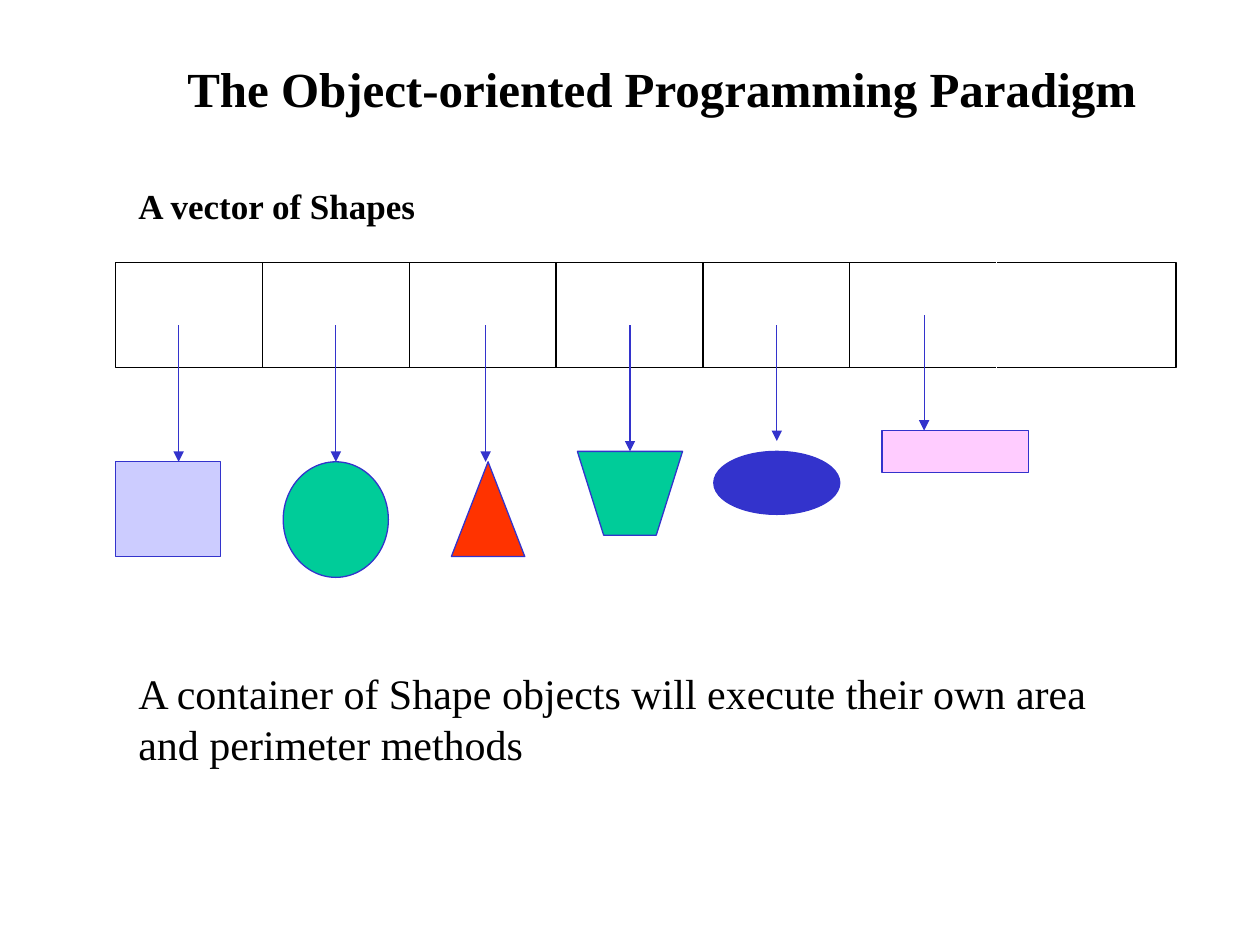
from lxml import etree
from pptx import Presentation
from pptx.dml.color import RGBColor
from pptx.enum import shapes, text
from pptx.oxml import ns
from pptx.util import Cm, Pt

BLACK = RGBColor(0x00, 0x00, 0x00)
WHITE = RGBColor(0xFF, 0xFF, 0xFF)
BLUE = RGBColor(0x33, 0x33, 0xCC)
LILAC = RGBColor(0xCC, 0xCC, 0xFF)
GREEN = RGBColor(0x00, 0xCC, 0x99)
RED = RGBColor(0xFF, 0x33, 0x00)
PINK = RGBColor(0xFF, 0xCC, 0xFF)
KIND = shapes.MSO_SHAPE


class Page:
    font = "Times New Roman"
    width = Pt(0.75)

    def __init__(self, slide):
        self.slide = slide

    def fill_text(self, shape, words, size, bold=False, align=text.PP_ALIGN.LEFT):
        frame = shape.text_frame
        frame.text = words
        frame.word_wrap = True
        frame.auto_size = text.MSO_AUTO_SIZE.NONE
        frame.vertical_anchor = text.MSO_ANCHOR.TOP
        para = frame.paragraphs[0]
        para.alignment = align
        font = para.runs[0].font
        font.name, font.size, font.bold = self.font, Pt(size), bold
        font.color.rgb = BLACK

    def title(self, words, left, top, wide, high):
        shape = self.slide.shapes.title
        shape.left, shape.top = Cm(left), Cm(top)
        shape.width, shape.height = Cm(wide), Cm(high)
        self.fill_text(shape, words, 28, True, text.PP_ALIGN.CENTER)

    def label(self, words, box, size, bold=False):
        shape = self.slide.shapes.add_textbox(*map(Cm, box))
        self.fill_text(shape, words, size, bold)

    def paint(self, shape, fill, edge):
        shape.shadow.inherit = False
        shape.fill.solid()
        shape.fill.fore_color.rgb = fill
        shape.line.color.rgb = edge
        shape.line.width = self.width
        return shape

    def shape(self, kind, box, fill, edge=BLUE):
        shape = self.slide.shapes.add_shape(kind, *map(Cm, box))
        return self.paint(shape, fill, edge)

    def outline(self, points, fill, edge=BLUE):
        spots = [(Cm(x), Cm(y)) for x, y in points]
        pen = self.slide.shapes.build_freeform(*spots[0])
        pen.add_line_segments(spots[1:], close=True)
        return self.paint(pen.convert_to_shape(), fill, edge)

    def line(self, x, top, end, color):
        line = self.slide.shapes.add_connector(
            shapes.MSO_CONNECTOR.STRAIGHT, Cm(x), Cm(top), Cm(x), Cm(end))
        line.line.color.rgb = color
        line.line.width = self.width
        etree.SubElement(line._element.spPr, ns.qn("a:effectLst"))
        return line

    def arrow(self, x, top, end):
        line = self.line(x, top, end, BLUE)
        edge = line._element.spPr.find(ns.qn("a:ln"))
        tip = etree.SubElement(edge, ns.qn("a:tailEnd"))
        tip.set("type", "triangle")
        return line


def main():
    deck = Presentation()
    deck.slide_width, deck.slide_height = Cm(25.4), Cm(19.05)
    page = Page(deck.slides.add_slide(deck.slide_layouts[5]))

    page.title("The Object-oriented Programming Paradigm", 3.39, 1.06, 19.9, 1.45)

    left, top, high, step = 2.33, 5.29, 2.12, 2.96
    page.shape(KIND.RECTANGLE, (left, top, 21.38, high), WHITE, BLACK)
    for i in range(1, 7):
        page.line(left + i * step, top, top + high, BLACK if i < 6 else WHITE)

    page.arrow(3.6, 6.56, 9.31)
    page.shape(KIND.RECTANGLE, (2.33, 9.31, 2.12, 1.91), LILAC)

    link = page.arrow(6.77, 6.56, 9.31)
    disc = page.shape(KIND.OVAL, (5.71, 9.31, 2.12, 2.33), GREEN)
    link.end_connect(disc, 0)

    page.arrow(9.79, 6.56, 9.31)
    page.shape(KIND.ISOSCELES_TRIANGLE, (9.1, 9.31, 1.48, 1.91), RED)

    page.arrow(12.7, 6.56, 9.1)
    page.outline([(11.64, 9.1), (12.17, 10.79), (13.23, 10.79), (13.76, 9.1)], GREEN)

    page.arrow(15.66, 6.56, 8.89)
    page.shape(KIND.OVAL, (14.39, 9.1, 2.54, 1.27), BLUE)

    page.arrow(18.63, 6.35, 8.68)
    page.shape(KIND.RECTANGLE, (17.78, 8.68, 2.96, 0.85), PINK)

    page.label("A vector of Shapes", (2.54, 3.6, 13.12, 1.11), 20, True)
    page.label("A container of Shape objects will execute their own area "
               "and perimeter methods", (2.54, 13.34, 19.9, 2.29), 24)

    deck.save("out.pptx")


if __name__ == "__main__":
    main()
